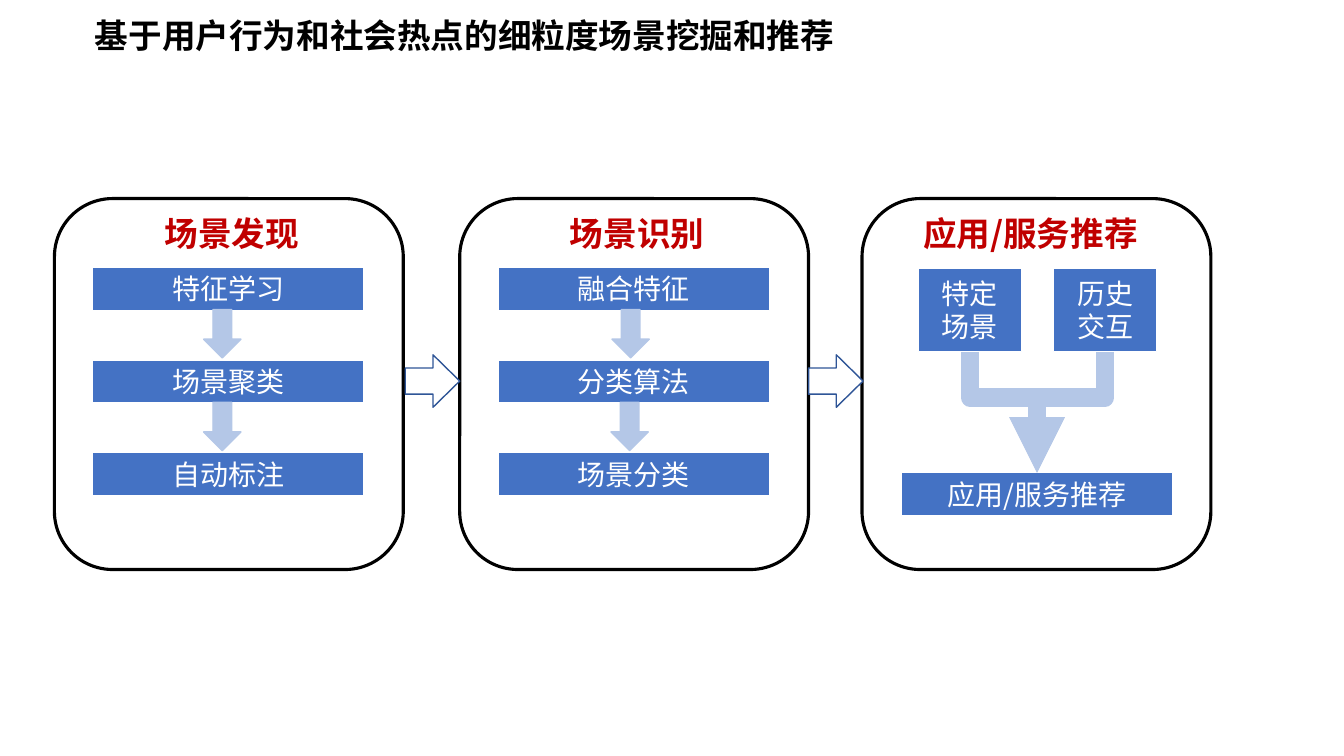
from lxml.etree import SubElement
from pptx import Presentation
from pptx.dml.color import RGBColor
from pptx.enum.shapes import MSO_CONNECTOR as Connector, MSO_SHAPE as Shape
from pptx.enum.text import MSO_ANCHOR as Anchor, MSO_AUTO_SIZE as AutoSize, PP_ALIGN as Align
from pptx.oxml.ns import qn
from pptx.util import Inches, Pt

COLORS = {
    "black": "000000",
    "white": "FFFFFF",
    "heading": "C00000",
    "step": "4472C4",
    "flow": "B4C7E7",
    "outline": "2F5597",
}
FONT = "Noto Sans CJK SC"
STEP_WIDTH, STEP_HEIGHT = 2.69, 0.43
STEP_TOP, STEP_PITCH = 2.65, 0.92

# panel left, heading left, heading, steps, step left, left of each flow arrow
PANELS = [
    (0.54, 0.74, "场景发现", ["特征学习", "场景聚类", "自动标注"], 0.92, [2.02, 2.02]),
    (4.56, 4.76, "场景识别", ["融合特征", "分类算法", "场景分类"], 4.94, [6.07, 6.06]),
    (8.55, 8.66, "应用/服务推荐", [], 8.94, []),
]


def color(name):
    return RGBColor.from_string(COLORS[name])


class SlideBuilder:
    def __init__(self, slide):
        self.slide = slide

    def add_text(self, shape, text, size, color_name, bold=False, align=Align.CENTER, anchor=Anchor.MIDDLE):
        frame = shape.text_frame
        frame.word_wrap = True
        frame.vertical_anchor = anchor
        paragraph = frame.paragraphs[0]
        paragraph.alignment = align
        run = paragraph.add_run()
        run.text = text
        format_values = {"name": FONT, "size": Pt(size), "bold": bold}
        for attribute, value in format_values.items():
            setattr(run.font, attribute, value)
        run.font.color.rgb = color(color_name)
        SubElement(run._r.get_or_add_rPr(), qn("a:ea"), typeface=FONT)

    def title(self, text, left, top, width, height):
        title = self.slide.shapes.title
        position = {"left": left, "top": top, "width": width, "height": height}
        for attribute, value in position.items():
            setattr(title, attribute, Inches(value))
        self.add_text(title, text, 24, "black", True, Align.LEFT, Anchor.TOP)
        title.text_frame.auto_size = AutoSize.SHAPE_TO_FIT_TEXT

    def heading(self, text, left):
        box = self.slide.shapes.add_textbox(*map(Inches, (left, 2.05, 3.12, 0.52)))
        self.add_text(box, text, 24, "heading", True)

    def shape(self, kind, left, top, width, height, fill, line, line_width=1):
        shape = self.slide.shapes.add_shape(kind, *map(Inches, (left, top, width, height)))
        shape.shadow.inherit = False
        if fill:
            shape.fill.solid()
            shape.fill.fore_color.rgb = color(fill)
        else:
            shape.fill.background()
        shape.line.color.rgb = color(line)
        shape.line.width = Pt(line_width)
        return shape

    def panel(self, left):
        self.shape(Shape.ROUNDED_RECTANGLE, left, 1.97, 3.46, 3.68, None, "black", 2.25)

    def step(self, text, left, top, width=STEP_WIDTH, height=STEP_HEIGHT):
        box = self.shape(Shape.RECTANGLE, left, top, width, height, "step", "white")
        self.add_text(box, text, 20, "white")

    def flow_arrow(self, left, top):
        self.shape(Shape.DOWN_ARROW, left, top, 0.37, 0.48, "flow", "flow")

    def panel_arrow(self, left):
        arrow = self.shape(Shape.DOWN_ARROW, left, 3.51, 0.52, 0.54, "white", "outline")
        arrow.rotation = 270
        arrow.adjustments[1] = 0.51

    def merge_arrow(self, start_x, start_y, end_x, end_y):
        """Elbow arrow going down, across and down: a horizontal elbow turned about its centre."""
        middle_x, middle_y = (start_x + end_x) / 2, (start_y + end_y) / 2
        half_length, half_width = (end_y - start_y) / 2, abs(end_x - start_x) / 2
        mirrored = start_x < end_x
        reach = half_length if mirrored else -half_length
        ends = (middle_x + reach, middle_y - half_width, middle_x - reach, middle_y + half_width)
        connector = self.slide.shapes.add_connector(Connector.ELBOW, *map(Inches, ends))
        connector.line.color.rgb = color("flow")
        connector.line.width = Pt(13.25)
        properties = connector._element.spPr
        properties.find(qn("a:xfrm")).set("rot", str((270 if mirrored else 90) * 60000))
        guides = properties.find(qn("a:prstGeom")).find(qn("a:avLst"))
        SubElement(guides, qn("a:gd"), name="adj1", fmla="val 37700")
        SubElement(properties.find(qn("a:ln")), qn("a:tailEnd"), type="triangle")
        SubElement(properties, qn("a:effectLst"))


def main():
    presentation = Presentation()
    presentation.slide_width = Inches(13.33)
    presentation.slide_height = Inches(7.5)
    title_only = presentation.slide_layouts[5]
    builder = SlideBuilder(presentation.slides.add_slide(title_only))
    builder.title("基于用户行为和社会热点的细粒度场景挖掘和推荐", 0.84, 0.1, 7.98, 0.5)

    for left, heading_left, heading, steps, step_left, arrow_lefts in PANELS:
        builder.panel(left)
        builder.heading(heading, heading_left)
        for row, text in enumerate(steps):
            builder.step(text, step_left, STEP_TOP + row * STEP_PITCH)
        for row, arrow_left in enumerate(arrow_lefts):
            builder.flow_arrow(arrow_left, 3.07 + row * STEP_PITCH)

    for left in (4.03, 8.03):
        builder.panel_arrow(left)

    recommendation_left, recommendation_top = PANELS[-1][4], 4.69
    builder.step("应用/服务推荐", recommendation_left, recommendation_top)
    input_top, input_width, input_height = 2.66, 1.02, 0.83
    for text, left in (("特定场景", 9.11), ("历史交互", 10.45)):
        builder.step(text, left, input_top, input_width, input_height)
        builder.merge_arrow(left + input_width / 2, input_top + input_height,
                            recommendation_left + STEP_WIDTH / 2, recommendation_top)

    presentation.save("out.pptx")


if __name__ == "__main__":
    main()
